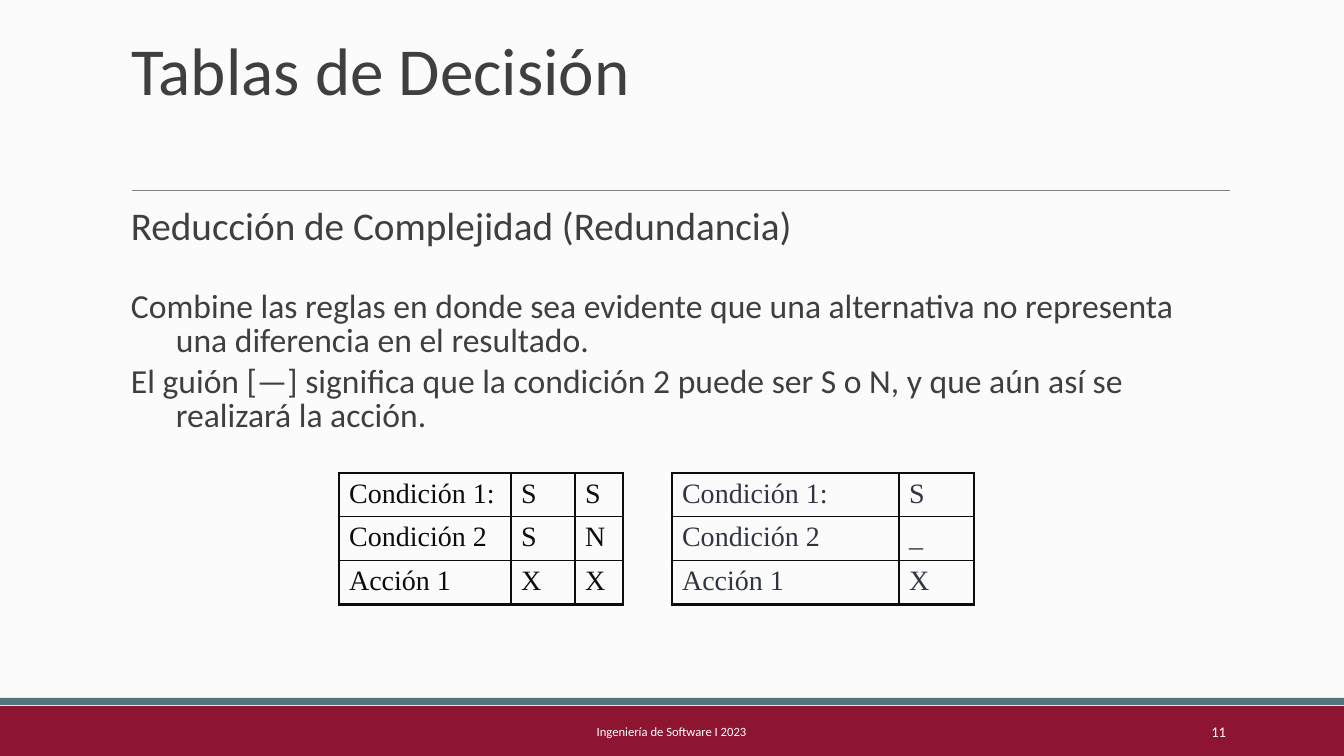
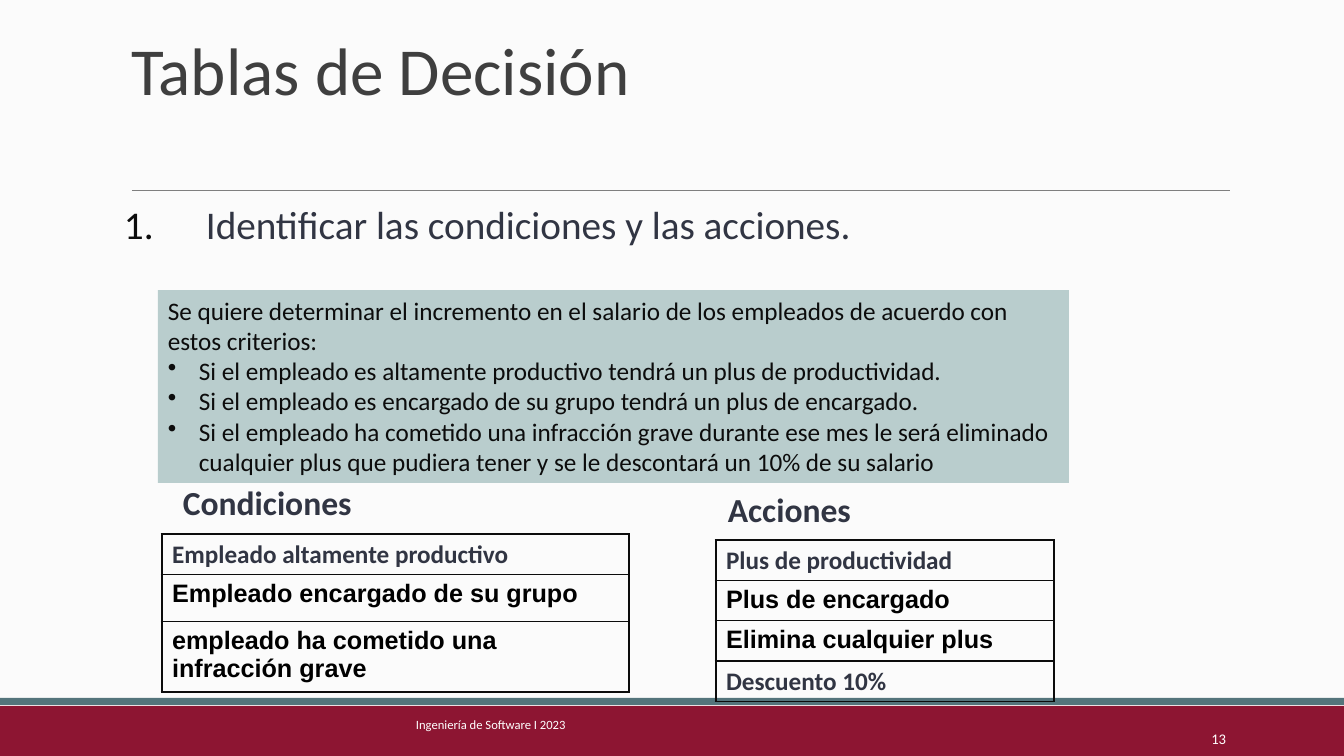
from lxml import etree
from pptx import Presentation
from pptx import util as u
from pptx.dml import color
from pptx.enum import shapes, text
from pptx.oxml import ns

EMU_PER_PX = 914400 / 100.8
WIDTH, HEIGHT = 1344, 756
COLORS = {
    "background": "FBFBFB", "band": "8D1532", "stripe": "54747B",
    "rule": "7F7F7F", "body": "3F3F3F", "heading": "313543",
    "ink": "0C0C0C", "black": "000000", "white": "FFFFFF", "panel": "B9CDCD",
}
MIDDLE, TOP, BOTTOM = (text.MSO_ANCHOR.MIDDLE, text.MSO_ANCHOR.TOP,
                       text.MSO_ANCHOR.BOTTOM)
LEFT, CENTER, RIGHT = text.PP_ALIGN.LEFT, text.PP_ALIGN.CENTER, text.PP_ALIGN.RIGHT
THIN, THICK = 1, 2.25


def px(value):
    return u.Emu(round(value * EMU_PER_PX))


def box_emu(box):
    return [px(value) for value in box]


def rgb(name):
    return color.RGBColor.from_string(COLORS[name])


def format_paragraph(paragraph, words, size, color_name, font="Calibri",
                     bold=False, align=LEFT):
    paragraph.text = words
    paragraph.alignment = align
    paragraph.font.size = u.Pt(size)
    paragraph.font.name = font
    paragraph.font.bold = bold
    paragraph.font.color.rgb = rgb(color_name)


def hang(paragraph, indent, bullet=None, **attributes):
    """Hanging indent, with an optional bullet element."""
    properties = paragraph._p.get_or_add_pPr()
    properties.set("marL", str(px(indent)))
    properties.set("indent", str(-px(indent)))
    if bullet:
        bullet_color = etree.SubElement(properties, ns.qn("a:buClr"))
        etree.SubElement(bullet_color, ns.qn("a:srgbClr"), val=COLORS["ink"])
        etree.SubElement(properties, ns.qn("a:" + bullet), **attributes)


def add_text(slide, box, words, size, color_name, anchor=TOP, **style):
    frame = slide.shapes.add_textbox(*box_emu(box)).text_frame
    frame.word_wrap = True
    frame.vertical_anchor = anchor
    format_paragraph(frame.paragraphs[0], words, size, color_name, **style)
    return frame


def add_block(slide, box, color_name):
    shape = slide.shapes.add_shape(shapes.MSO_SHAPE.RECTANGLE, *box_emu(box))
    shape.shadow.inherit = False
    shape.fill.solid()
    shape.fill.fore_color.rgb = rgb(color_name)
    shape.line.fill.background()
    return shape


def border_cell(cell, widths):
    """Draw the four edges; widths run left, right, top, bottom."""
    cell.fill.background()
    properties = cell._tc.get_or_add_tcPr()
    for index, (side, width) in enumerate(zip("LRTB", widths)):
        edge = etree.Element(ns.qn("a:ln" + side), w=str(u.Pt(width)))
        fill = etree.SubElement(edge, ns.qn("a:solidFill"))
        etree.SubElement(fill, ns.qn("a:srgbClr"), val=COLORS["ink"])
        properties.insert(index, edge)


def add_grid(slide, left, top, columns, row_heights, rows, styles, heavy):
    """Table with one text style per row; heavy names its thick outer sides."""
    box = (left, top, sum(columns), sum(row_heights))
    table = slide.shapes.add_table(len(rows), len(columns), *box_emu(box)).table
    table.first_row = table.horz_banding = False
    for column, width in zip(table.columns, columns):
        column.width = px(width)
    for r, (words, style) in enumerate(zip(rows, styles)):
        table.rows[r].height = px(row_heights[r])
        for c, word in enumerate(words):
            cell = table.cell(r, c)
            format_paragraph(cell.text_frame.paragraphs[0], word, **style)
            outer = {"L": c == 0, "R": c == len(columns) - 1,
                     "T": r == 0, "B": r == len(rows) - 1}
            border_cell(cell, [THICK if at_edge and side in heavy else THIN
                               for side, at_edge in outer.items()])


def add_base_slide(presentation, number, footer_align, footer_anchor, number_anchor):
    """Title, rule, bands and footer shared by the slides."""
    slide = presentation.slides.add_slide(presentation.slide_layouts[5])

    # Title and rule
    title = slide.shapes.title
    title.left, title.top, title.width, title.height = box_emu((121, 36, 1109, 150))
    title.text_frame.vertical_anchor = TOP
    paragraph = title.text_frame.paragraphs[0]
    format_paragraph(paragraph, "Tablas de Decisión", 48, "body")
    paragraph.line_spacing = 0.85
    rule = slide.shapes.add_connector(shapes.MSO_CONNECTOR.STRAIGHT,
                                      *box_emu((132, 191, 1230, 191)))
    rule.line.color.rgb = rgb("rule")
    rule.line.width = u.Pt(0.75)
    etree.SubElement(rule._element.spPr, ns.qn("a:effectLst"))

    # Bands and footer
    add_block(slide, (0, 706, WIDTH, 50), "band")
    add_block(slide, (0, 698, WIDTH, 7), "stripe")
    add_text(slide, (406, 712, 531, 40), "Ingeniería de Software I 2023", 9,
             "white", anchor=footer_anchor, align=footer_align)
    add_text(slide, (1092, 712, 144, 40), number, 10.5, "white",
             anchor=number_anchor, align=RIGHT)
    return slide


def build_redundancy_slide(presentation):
    slide = add_base_slide(presentation, "11", CENTER, MIDDLE, MIDDLE)

    # Explanation
    frame = add_text(slide, (121, 204, 1096, 240),
                     "Reducción de Complejidad (Redundancia)", 28, "body")
    explanations = [
        ("Combine las reglas en donde sea evidente que una alternativa no "
         "representa una diferencia en el resultado.", 30),
        ("El guión [—] significa que la condición 2 puede ser S o N, y que "
         "aún así se realizará la acción.", 4.5),
    ]
    for words, space in explanations:
        paragraph = frame.add_paragraph()
        format_paragraph(paragraph, words, 24, "body")
        paragraph.space_before = u.Pt(space)
        hang(paragraph, 45)
    for paragraph in frame.paragraphs:
        paragraph.line_spacing = 0.85
    frame.paragraphs[0].space_before = u.Pt(4.5)

    # Rules before and after the reduction
    labels = ["Condición 1:", "Condición 2", "Acción 1"]
    grids = [
        (339, [172, 64, 48], ["SS", "SN", "XX"], "ink"),
        (672, [227, 75], ["S", "_", "X"], "heading"),
    ]
    for left, columns, marks, color_name in grids:
        rows = [[label, *mark] for label, mark in zip(labels, marks)]
        style = dict(size=20, color_name=color_name, font="Times New Roman")
        add_grid(slide, left, 473, columns, [41] * 3, rows, [style] * 3, "LRTB")


def build_identification_slide(presentation):
    slide = add_base_slide(presentation, "13", LEFT, TOP, BOTTOM)

    # Numbered step
    step = add_text(slide, (114, 195, 1176, 85),
                    "Identificar las condiciones y las acciones.", 28, "heading")
    hang(step.paragraphs[0], 82, "buAutoNum", type="arabicPeriod")

    # Criteria panel
    frame = add_block(slide, (158, 290, 911, 193), "panel").text_frame
    frame.word_wrap = True
    frame.vertical_anchor = TOP
    format_paragraph(frame.paragraphs[0],
                     "Se quiere determinar el incremento en el salario de los "
                     "empleados de acuerdo con estos criterios:", 18, "ink")
    criteria = [
        "Si el empleado es altamente productivo tendrá un plus de productividad.",
        "Si el empleado es encargado de su grupo tendrá un plus de encargado.",
        "Si el empleado ha cometido una infracción grave durante ese mes le será "
        "eliminado cualquier plus que pudiera tener y se le descontará un 10% de "
        "su salario",
    ]
    for criterion in criteria:
        paragraph = frame.add_paragraph()
        format_paragraph(paragraph, criterion, 18, "ink")
        hang(paragraph, 31, "buChar", char="•")

    # Headed lists
    calibri = dict(size=18, color_name="heading", bold=True)
    arial = dict(size=18, color_name="black", font="Arial", bold=True)
    lists = [
        ("Condiciones", (173, 477, 192, 50), (162, 534), 467, [40, 47, 70],
         ["Empleado altamente productivo", "Empleado encargado de su grupo",
          "empleado ha cometido una infracción grave"],
         [calibri, arial, arial]),
        ("Acciones", (718, 484, 265, 50), (716, 540), 338, [40] * 4,
         ["Plus de productividad", "Plus de encargado",
          "Elimina cualquier plus", "Descuento 10%"],
         [calibri, arial, arial, calibri]),
    ]
    for heading, box, corner, width, heights, entries, styles in lists:
        add_text(slide, box, heading, 24, "heading", bold=True)
        add_grid(slide, *corner, [width], heights,
                 [[entry] for entry in entries], styles, "L")


def main():
    presentation = Presentation()
    presentation.slide_width, presentation.slide_height = px(WIDTH), px(HEIGHT)
    background = presentation.slide_master.background.fill
    background.solid()
    background.fore_color.rgb = rgb("background")
    build_redundancy_slide(presentation)
    build_identification_slide(presentation)
    presentation.save("out.pptx")


if __name__ == "__main__":
    main()
